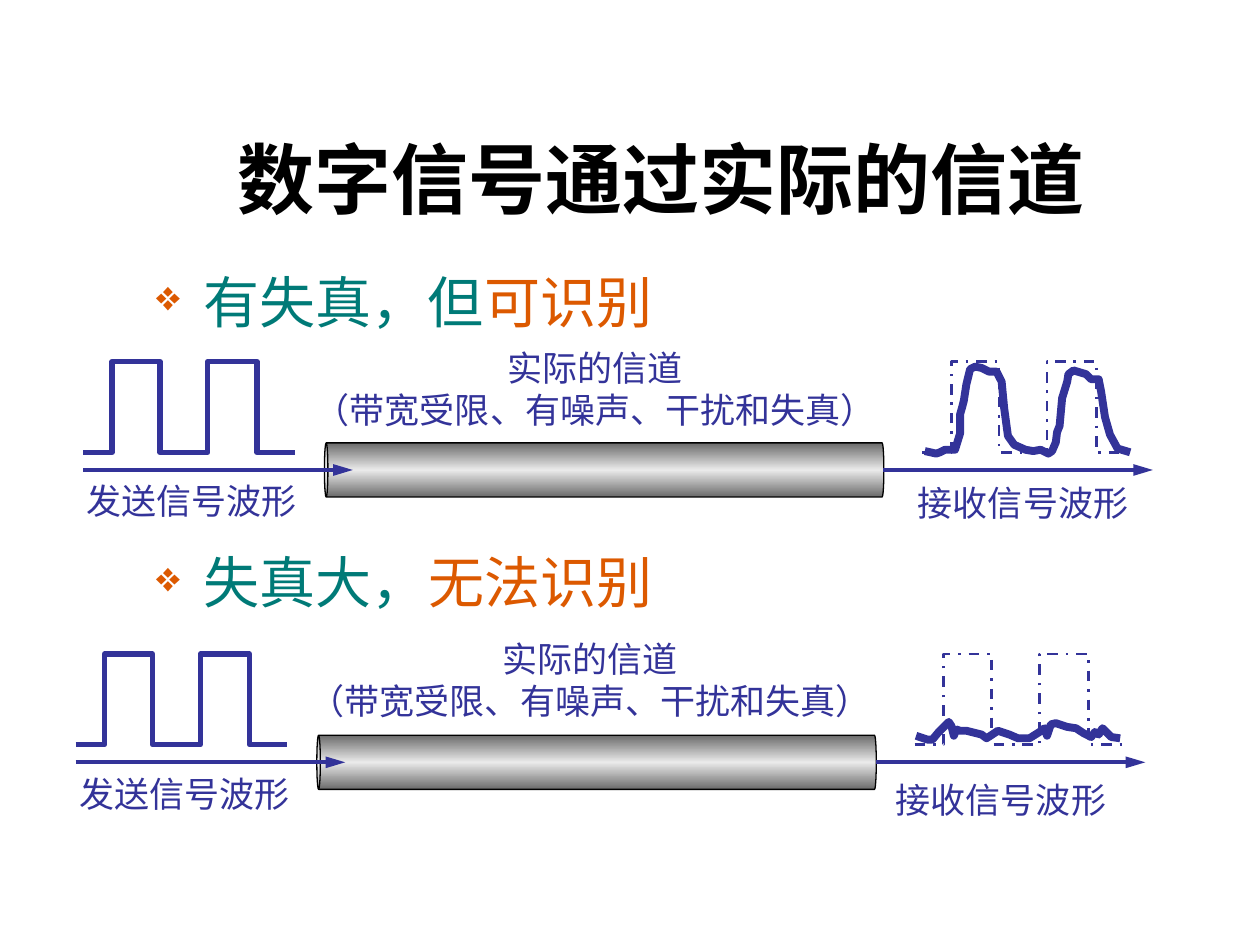
import copy
from dataclasses import dataclass

import pptx
import pptx.util
import pptx.dml.color
import pptx.enum.dml
import pptx.enum.lang
import pptx.enum.shapes
import pptx.enum.text
import pptx.oxml
import pptx.oxml.ns
from pptx.util import Inches

NAVY, TEAL, ORANGE, BLACK = "333399", "007A77", "DC5900", "000000"
SERIF, SANS, CJK = "Times New Roman", "Arial", "Noto Sans CJK SC"
ALIGN = pptx.enum.text.PP_ALIGN
DASH = pptx.enum.dml.MSO_LINE.DASH_DOT
Point = tuple[float, float]
Box = tuple[float, float, float, float]


@dataclass
class Label:
    text: list[str]
    box: Box
    font: str
    wrap: bool
    align: ALIGN


@dataclass
class Row:
    x: float
    y: float
    wave: list[Point]
    note: Box
    goal: Box


def paint(hue: str) -> pptx.dml.color.RGBColor:
    return pptx.dml.color.RGBColor.from_string(hue)


def node(host, tag: str, **attrs: str):
    item = pptx.oxml.parse_xml(f'<a:{tag} {pptx.oxml.ns.nsdecls("a")}/>')
    for key, val in attrs.items():
        item.set(key, val)
    host.append(item)


def write(para, text: str, size: float, font: str, hue: str, bold: bool = False) -> None:
    run = para.add_run()
    run.text = text
    run.font.size = pptx.util.Pt(size)
    run.font.name = font
    run.font.bold = bold
    run.font.language_id = pptx.enum.lang.MSO_LANGUAGE_ID.SIMPLIFIED_CHINESE
    run.font.color.rgb = paint(hue)


def place(shape, box: Box) -> None:
    shape.left, shape.top, shape.width, shape.height = map(Inches, box)


def add_label(host, label: Label) -> None:
    frame = host.add_textbox(*map(Inches, label.box)).text_frame
    frame.word_wrap = label.wrap
    frame.auto_size = pptx.enum.text.MSO_AUTO_SIZE.SHAPE_TO_FIT_TEXT
    for i, text in enumerate(label.text):
        para = frame.add_paragraph() if i else frame.paragraphs[0]
        para.alignment = label.align
        write(para, text, 20, label.font, NAVY)


def add_path(host, points: list[Point], width: float, dash=None) -> None:
    spots = [(Inches(x), Inches(y)) for x, y in points]
    pen = host.build_freeform(*spots[0])
    pen.add_line_segments(spots[1:], close=False)
    shape = pen.convert_to_shape()
    shape.shadow.inherit = False
    shape.fill.background()
    shape.line.color.rgb = paint(NAVY)
    shape.line.width = pptx.util.Pt(width)
    if dash:
        shape.line.dash_style = dash
    node(shape.line._get_or_add_ln(), "round")


def pulse(x: float, y: float) -> list[Point]:
    points, high = [(x, y + 0.72)], False
    for edge in (0.23, 0.61, 0.99, 1.38):
        ends = [(x + edge, y + 0.72), (x + edge, y)]
        points += reversed(ends) if high else ends
        high = not high
    return points + [(x + 1.68, y + 0.72)]


def add_arrow(host, x: float, y: float) -> None:
    kind = pptx.enum.shapes.MSO_CONNECTOR.STRAIGHT
    line = host.add_connector(kind, *map(Inches, (x, y, x + 2.14, y)))
    line.line.color.rgb = paint(NAVY)
    line.line.width = pptx.util.Pt(2.24)
    node(line.line._get_or_add_ln(), "tailEnd", type="triangle", w="med", len="lg")
    node(line._element.spPr, "effectLst")


def add_pipe(host, x: float, y: float) -> None:
    kind = pptx.enum.shapes.MSO_SHAPE.CAN
    pipe = host.add_shape(kind, *map(Inches, (x, y, 0.43, 4.44)))
    pipe.adjustments[0] = 0.065
    pipe.rotation = 270
    pipe.shadow.inherit = False
    pipe.fill.gradient()
    pipe.fill.gradient_angle = 0
    stops = pipe._element.spPr.find(".//" + pptx.oxml.ns.qn("a:gsLst"))
    stops.append(copy.deepcopy(stops[0]))
    looks = ((0, "6B6B6B"), (0.5, "EAEAEA"), (1, "6B6B6B"))
    for stop, (spot, hue) in zip(pipe.fill.gradient_stops, looks):
        stop.position = spot
        stop.color.rgb = paint(hue)
    pipe.line.color.rgb = paint(BLACK)
    pipe.line.width = pptx.util.Pt(0.74)


def add_row(host, row: Row) -> None:
    x, y = row.x, row.y
    add_pipe(host, x + 3.92, y - 1.36)
    add_path(host, pulse(x, y), 3)
    add_arrow(host, x, y + 0.86)
    add_path(host, pulse(x + 6.66, y), 1.5, DASH)
    add_arrow(host, x + 6.35, y + 0.86)
    add_path(host, row.wave, 4.51)
    for label in (
        Label(["实际的信道", "（带宽受限、有噪声、干扰和失真）"], row.note, SERIF, False, ALIGN.CENTER),
        Label(["发送信号波形"], (x - 0.07, y + 0.89, 1.87, 0.44), CJK, False, ALIGN.LEFT),
        Label(["接收信号波形"], row.goal, CJK, True, ALIGN.CENTER),
    ):
        add_label(host, label)


CLEAR = [
    (7.34, 3.58), (7.43, 3.6), (7.46, 3.59), (7.5, 3.57), (7.58, 3.57), (7.62, 3.44),
    (7.62, 3.29), (7.64, 3.22), (7.65, 3.18), (7.67, 3.05), (7.7, 2.93), (7.74, 2.91),
    (7.79, 2.92), (7.85, 2.95), (7.91, 2.95), (7.95, 3.03), (7.97, 3.24), (8, 3.46),
    (8.05, 3.53), (8.14, 3.57), (8.2, 3.58), (8.26, 3.57), (8.32, 3.6), (8.35, 3.58),
    (8.38, 3.51), (8.39, 3.43), (8.41, 3.38), (8.43, 3.16), (8.47, 3.03), (8.48, 2.97),
    (8.52, 2.94), (8.62, 2.97), (8.66, 3.01), (8.72, 3.01), (8.74, 3.11), (8.77, 3.31),
    (8.81, 3.45), (8.87, 3.56), (8.97, 3.59),
]
NOISY = [
    (7.27, 5.84), (7.36, 5.87), (7.4, 5.87), (7.45, 5.81), (7.53, 5.73), (7.55, 5.76),
    (7.57, 5.84), (7.59, 5.79), (7.62, 5.8), (7.67, 5.8), (7.79, 5.83), (7.83, 5.86),
    (7.92, 5.8), (8.01, 5.83), (8.08, 5.86), (8.17, 5.86), (8.25, 5.81), (8.29, 5.78),
    (8.31, 5.84), (8.34, 5.75), (8.38, 5.74), (8.47, 5.77), (8.54, 5.78), (8.6, 5.82),
    (8.66, 5.85), (8.69, 5.81), (8.72, 5.83), (8.75, 5.78), (8.82, 5.85), (8.89, 5.86),
]
HEADS = [("有失真，但", "可识别"), ("失真大，", "无法识别")]

deck = pptx.Presentation()
deck.slide_width, deck.slide_height = Inches(10), Inches(7.5)
slide = deck.slides.add_slide(deck.slide_layouts[5])
title = slide.shapes.title
place(title, (1.06, 0.91, 8.52, 0.92))
title.text_frame.vertical_anchor = pptx.enum.text.MSO_ANCHOR.BOTTOM
title.text_frame.paragraphs[0].alignment = ALIGN.CENTER
write(title.text_frame.paragraphs[0], "数字信号通过实际的信道 ", 44, SANS, BLACK, True)

body = slide.shapes.add_textbox(*map(Inches, (1.14, 2.02, 8.5, 4.5))).text_frame
body.word_wrap = True
for i, (plain, key) in enumerate(HEADS):
    para = body.add_paragraph() if i else body.paragraphs[0]
    para.line_spacing = 1.1
    para.space_before = pptx.util.Pt(118 * i)
    props = para._p.get_or_add_pPr()
    props.set("marL", str(Inches(0.38)))
    props.set("indent", str(-Inches(0.38)))
    node(props, "buClr")
    node(props[-1], "srgbClr", val=ORANGE)
    node(props, "buSzPct", val="75000")
    node(props, "buChar", char="❖")
    write(para, plain, 32, SANS, TEAL)
    write(para, key, 32, SANS, ORANGE)

add_row(slide.shapes, Row(0.66, 2.87, CLEAR, (2.4, 2.7, 4.65, 0.77), (7.07, 3.77, 2.1, 0.44)))
group = slide.shapes.add_group_shape()
add_row(group.shapes, Row(0.6, 5.19, NOISY, (2.36, 5.01, 4.65, 0.77), (6.93, 6.13, 2.03, 0.44)))
deck.save("out.pptx")
